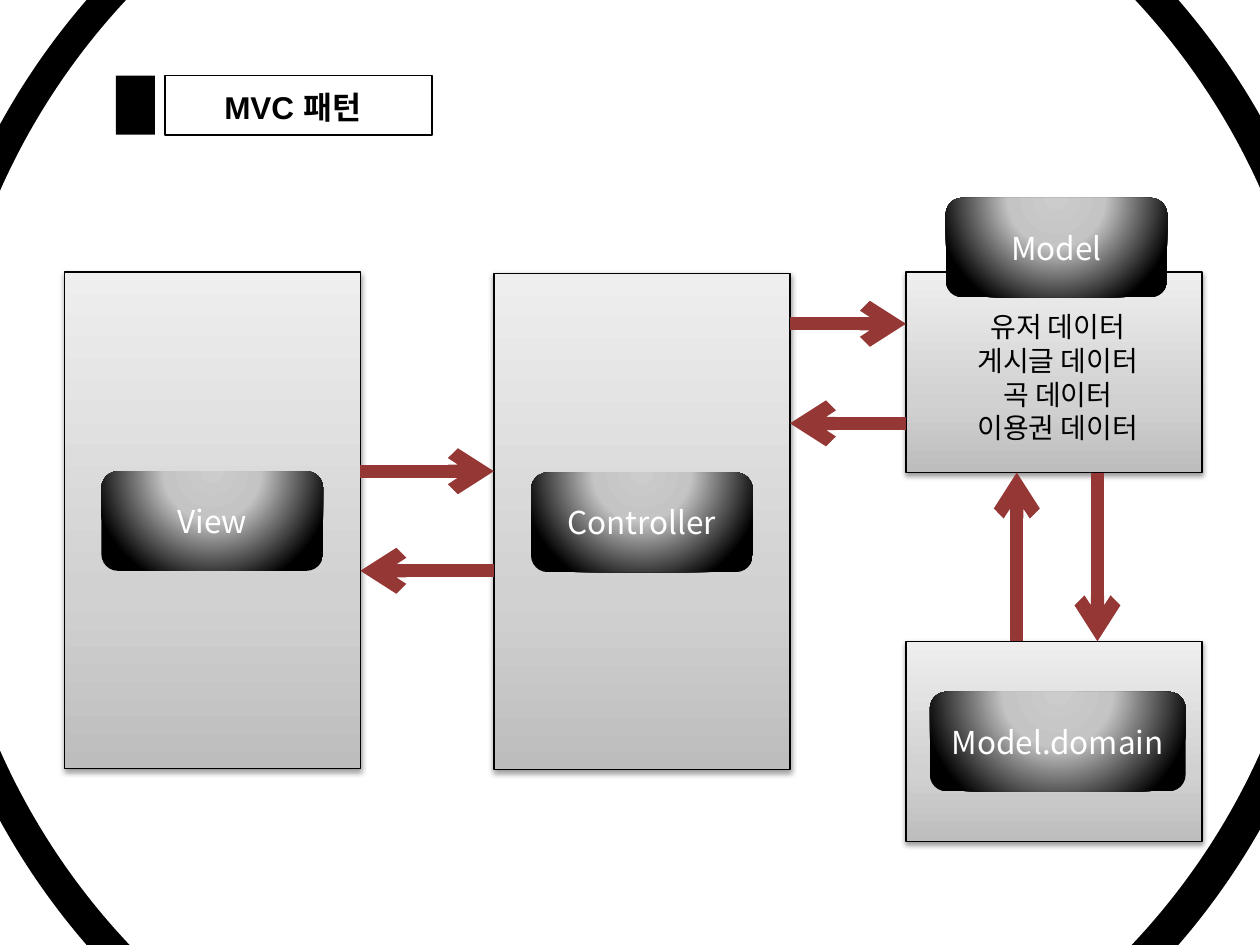
from dataclasses import dataclass

from lxml import etree
from pptx import Presentation
from pptx.dml.color import RGBColor
from pptx.enum.shapes import MSO_CONNECTOR, MSO_SHAPE
from pptx.enum.text import MSO_ANCHOR, MSO_AUTO_SIZE, PP_ALIGN
from pptx.oxml import parse_xml
from pptx.oxml.ns import nsdecls, qn
from pptx.util import Inches, Pt

RECTANGLE, ROUNDED, OVAL = MSO_SHAPE.RECTANGLE, MSO_SHAPE.ROUNDED_RECTANGLE, MSO_SHAPE.OVAL
STRAIGHT = MSO_CONNECTOR.STRAIGHT
LEFT, CENTER = PP_ALIGN.LEFT, PP_ALIGN.CENTER
TOP, MIDDLE = MSO_ANCHOR.TOP, MSO_ANCHOR.MIDDLE
NO_AUTOFIT = MSO_AUTO_SIZE.NONE

COLUMNS, ROWS = 100, 75


@dataclass(frozen=True)
class Theme:
    black: str = "000000"
    white: str = "FFFFFF"
    arrow: str = "953735"
    panel_stops: tuple = ((0, "BDBDBD"), (35, "D1D1D1"), (100, "EEEEEE"))
    label_stops: tuple = ((0, "CCCCCC"), (40, "C4C4C4"), (100, "000000"))
    title_font: str = "Arial"
    body_font: str = "Noto Sans CJK KR"
    heading_size: float = 18
    list_size: float = 16
    frame_line: float = 1
    panel_line: float = 0.75
    arrow_line: float = 7.5


class SlideBuilder:
    """Draws on one slide; every length is in grid columns and rows."""

    def __init__(self, presentation, theme):
        self.theme = theme
        self.slide = presentation.slides.add_slide(presentation.slide_layouts[1])
        self.column = presentation.slide_width / COLUMNS
        self.row = presentation.slide_height / ROWS

    def place(self, left, top, width, height):
        return (round(left * self.column), round(top * self.row),
                round(width * self.column), round(height * self.row))

    def shape(self, kind, box, fill=None, line=None):
        shape = self.slide.shapes.add_shape(kind, *self.place(*box))
        shape.shadow.inherit = False
        if fill:
            shape.fill.solid()
            shape.fill.fore_color.rgb = RGBColor.from_string(fill)
        else:
            shape.fill.background()
        if line:
            shape.line.color.rgb = RGBColor.from_string(self.theme.black)
            shape.line.width = Pt(line)
        else:
            shape.line.fill.background()
        return shape

    def gradient(self, shape, stops, direction):
        """Fill with stops given in percent; direction is the a:lin or a:path XML."""
        stop_xml = "".join(f'<a:gs pos="{position * 1000}"><a:srgbClr val="{color}"/></a:gs>'
                           for position, color in stops)
        shape.fill.gradient()
        properties = shape._element.spPr
        properties.replace(properties.find(qn("a:gradFill")), parse_xml(
            f'<a:gradFill {nsdecls("a")} rotWithShape="1">'
            f"<a:gsLst>{stop_xml}</a:gsLst>{direction}</a:gradFill>"))

    def panel(self, *box):
        shape = self.shape(RECTANGLE, box, line=self.theme.panel_line)
        self.gradient(shape, self.theme.panel_stops, '<a:lin ang="16200000" scaled="0"/>')
        shape._element.spPr.find(qn("a:effectLst")).append(parse_xml(
            f'<a:outerShdw {nsdecls("a")} blurRad="40000" dist="20000" dir="5400000" '
            f'rotWithShape="0"><a:srgbClr val="{self.theme.black}">'
            '<a:alpha val="38000"/></a:srgbClr></a:outerShdw>'))

    def label(self, text, *box):
        shape = self.shape(ROUNDED, box)
        self.gradient(shape, self.theme.label_stops,
                      '<a:path path="circle"><a:fillToRect l="50000" t="-80000" '
                      'r="50000" b="180000"/></a:path>')
        shape.text_frame.vertical_anchor = MIDDLE
        self.set_text(shape.text_frame, [text], self.theme.heading_size, self.theme.white)

    def set_text(self, frame, lines, size, color, font=None, bold=False, align=CENTER):
        frame.text = "\n".join(lines)
        for paragraph in frame.paragraphs:
            paragraph.alignment = align
            paragraph.space_before = Pt(0)
            paragraph.font.size = Pt(size)
            paragraph.font.bold = bold
            paragraph.font.color.rgb = RGBColor.from_string(color)
            paragraph.font.name = font or self.theme.body_font
            defaults = paragraph._p.pPr.find(qn("a:defRPr"))
            etree.SubElement(defaults, qn("a:ea")).set("typeface", self.theme.body_font)

    def placeholder(self, shape, box, wrap):
        """Move a placeholder to its box and in front of everything drawn so far."""
        shape.left, shape.top, shape.width, shape.height = self.place(*box)
        self.slide.shapes._spTree.append(shape._element)
        frame = shape.text_frame
        frame.word_wrap = wrap
        frame.auto_size = NO_AUTOFIT
        frame.vertical_anchor = TOP
        return frame

    def title(self, text, *box):
        frame = self.placeholder(self.slide.shapes.title, box, wrap=False)
        self.set_text(frame, [text], self.theme.heading_size, self.theme.black,
                      self.theme.title_font, bold=True, align=LEFT)

    def plain_list(self, lines, *box):
        frame = self.placeholder(self.slide.placeholders[1], box, wrap=True)
        self.set_text(frame, lines, self.theme.list_size, self.theme.black)
        for paragraph in frame.paragraphs:
            properties = paragraph._p.pPr
            properties.set("marL", "0")
            properties.set("indent", "0")
            defaults = properties.find(qn("a:defRPr"))
            defaults.addprevious(parse_xml(f'<a:buNone {nsdecls("a")}/>'))

    def arrow(self, start, end):
        connector = self.slide.shapes.add_connector(STRAIGHT, *self.place(*start, *end))
        connector.line.color.rgb = RGBColor.from_string(self.theme.arrow)
        connector.line.width = Pt(self.theme.arrow_line)
        properties = connector._element.spPr
        etree.SubElement(properties.find(qn("a:ln")), qn("a:tailEnd")).set("type", "arrow")
        etree.SubElement(properties, qn("a:effectLst"))


def main():
    presentation = Presentation()
    presentation.slide_width, presentation.slide_height = Inches(10), Inches(7.5)
    theme = Theme()
    builder = SlideBuilder(presentation, theme)

    for left, top, diameter, color in ((-7.1, -19.8, 114.6, theme.black),
                                       (-4.7, -17.4, 109.5, theme.white)):
        builder.shape(OVAL, (left, top, diameter, diameter), fill=color)

    builder.shape(RECTANGLE, (9.2, 6, 3.1, 4.7), fill=theme.black)
    builder.shape(RECTANGLE, (13.1, 6, 21.2, 4.7), line=theme.frame_line)
    builder.title("MVC 패턴", 16.8, 6.5, 13.7, 4)

    view, controller, model = 5.1, 39.2, 71.9
    panel_width, tall, short = 23.5, 39.4, 15.9
    panel_top, domain_top = 21.6, 50.9
    view_right, controller_right = view + panel_width, controller + panel_width
    model_bottom = panel_top + short

    for left, top, height in ((view, panel_top, tall), (controller, panel_top + 0.1, tall),
                              (model, panel_top, short), (model, domain_top, short)):
        builder.panel(left, top, panel_width, height)

    label_width, wide_label, label_height = 17.6, 20.3, 7.9
    for text, panel_left, top, width in (("View", view, 37.4, label_width),
                                         ("Controller", controller, 37.5, label_width),
                                         ("Model", model + 0.2, 15.7, label_width),
                                         ("Model.domain", model + 0.3, 54.9, wide_label)):
        builder.label(text, panel_left + (panel_width - width) / 2, top, width, label_height)

    for left, right, forward_row, back_row in ((view_right, controller, 37.4, 45.3),
                                               (controller_right, model, 25.7, 33.6)):
        builder.arrow((left, forward_row), (right, forward_row))
        builder.arrow((right, back_row), (left, back_row))
    builder.arrow((87.1, model_bottom), (87.1, domain_top))
    builder.arrow((80.7, domain_top), (80.7, model_bottom))

    builder.plain_list(["유저 데이터", "게시글 데이터", "곡 데이터", "이용권 데이터"],
                       73.8, 24.1, wide_label, 11.8)
    presentation.save("out.pptx")


if __name__ == "__main__":
    main()
